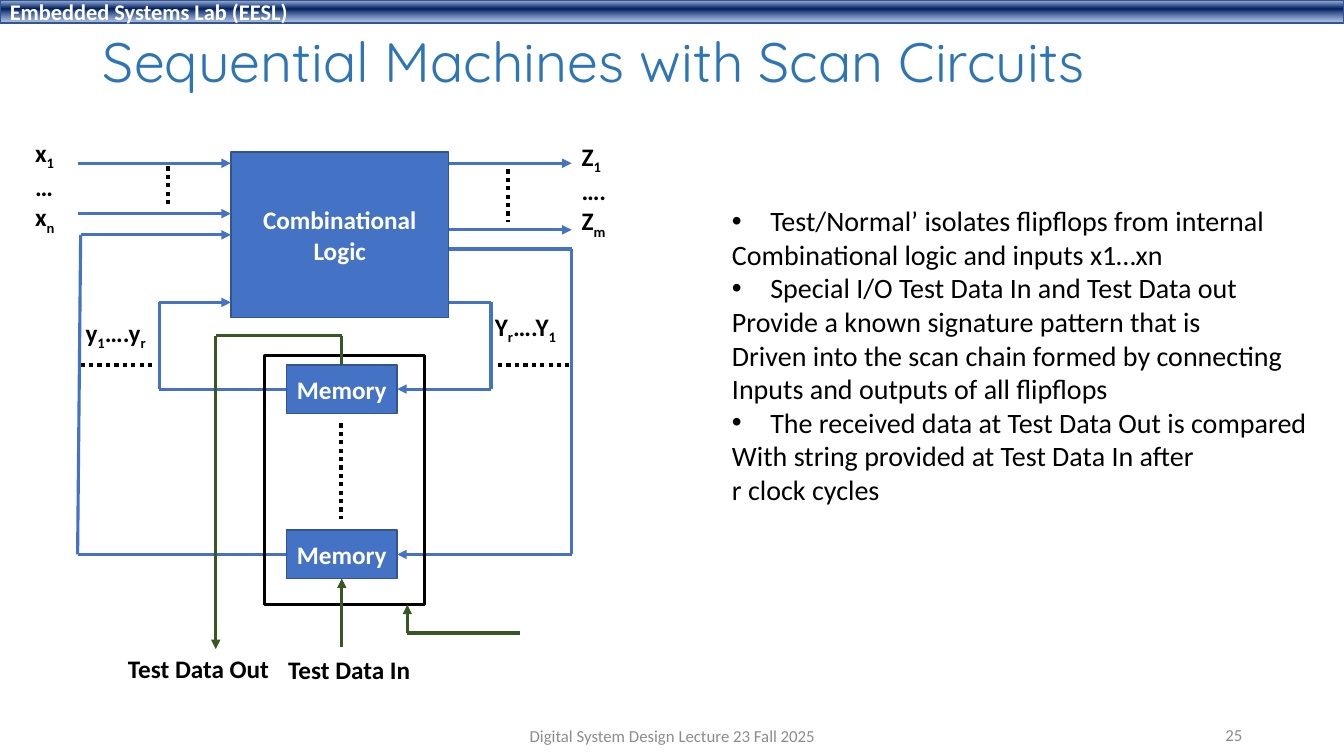
from copy import deepcopy
from dataclasses import dataclass
from itertools import pairwise

from lxml.etree import SubElement
from pptx import Presentation
from pptx.dml.color import RGBColor
from pptx.enum.dml import MSO_LINE_DASH_STYLE as Dash
from pptx.enum.shapes import MSO_CONNECTOR as Connector, MSO_SHAPE as Shape
from pptx.enum.text import MSO_ANCHOR as Anchor, MSO_AUTO_SIZE as AutoSize, PP_ALIGN as Align
from pptx.oxml.ns import qn
from pptx.util import Inches, Pt


@dataclass(frozen=True)
class Theme:
    font: str = "Calibri"
    title_font: str = "Quicksand"
    title_color: str = "2E75B6"
    blue: str = "4472C4"
    edge: str = "325491"
    green: str = "385723"
    black: str = "000000"
    white: str = "FFFFFF"
    gray: str = "8C8C8C"
    # position, colour, opacity
    bar_stops: tuple = ((0.02, "ABC0E4", 1), (0.38, "002060", 1), (0.93, "7E9ED6", 0.64))
    title_size: float = 39.6
    body_size: int = 20
    bar_size: int = 16
    label_size: int = 18
    footer_size: int = 12
    wire_width: float = 2.25
    dots_width: int = 3


class SlideBuilder:
    def __init__(self, page, theme):
        self.page = page
        self.theme = theme

    def style(self, para, size, color, bold=False, font=None):
        para.font.name = font or self.theme.font
        para.font.size = Pt(size)
        para.font.bold = bold
        para.font.color.rgb = RGBColor.from_string(color)

    def place(self, shape, left, top, width, height):
        shape.left, shape.top = Inches(left), Inches(top)
        shape.width, shape.height = Inches(width), Inches(height)

    def add_lines(self, frame, lines, size, color, bold=False, align=Align.LEFT):
        """Fill a frame with lines; pieces between underscores alternate to subscript."""
        for number, line in enumerate(lines):
            para = frame.add_paragraph() if number else frame.paragraphs[0]
            para.alignment = align
            for index, piece in enumerate(line.split("_")):
                if piece:
                    span = para.add_run()
                    span.text = piece
                    if index % 2:
                        span._r.get_or_add_rPr().set("baseline", "-25000")
            self.style(para, size, color, bold)

    def title(self, text, *area):
        title = self.page.shapes.title
        self.place(title, *area)
        frame = title.text_frame
        frame.text = text
        frame.auto_size = AutoSize.NONE
        frame.vertical_anchor = Anchor.MIDDLE
        para = frame.paragraphs[0]
        para.alignment = Align.LEFT
        para.line_spacing = 0.9
        self.style(para, self.theme.title_size, self.theme.title_color,
                   font=self.theme.title_font)

    def body(self, points, *area):
        """Each point is a bulleted line followed by its unindented lines."""
        body = self.page.placeholders[1]
        self.place(body, *area)
        frame = body.text_frame
        frame.text = "\n".join(line for point in points for line in point)
        frame.word_wrap = False
        frame.auto_size = AutoSize.NONE
        frame.vertical_anchor = Anchor.TOP
        bulleted = [index == 0 for point in points for index in range(len(point))]
        for para, has_bullet in zip(frame.paragraphs, bulleted):
            indent = Inches(0.38) if has_bullet else 0
            props = para._p.get_or_add_pPr()
            props.set("marL", str(indent))
            props.set("indent", str(-indent))
            para.space_before = Pt(0)
            if has_bullet:
                SubElement(props, qn("a:buFont"), typeface="Arial")
                SubElement(props, qn("a:buChar"), char="•")
            else:
                SubElement(props, qn("a:buNone"))
            self.style(para, self.theme.body_size, self.theme.black)

    def block(self, lines, *area, size=None, align=Align.CENTER):
        block = self.page.shapes.add_shape(Shape.RECTANGLE, *map(Inches, area))
        block.shadow.inherit = False
        block.fill.solid()
        block.fill.fore_color.rgb = RGBColor.from_string(self.theme.blue)
        block.line.color.rgb = RGBColor.from_string(self.theme.edge)
        block.line.width = Pt(1)
        block.text_frame.vertical_anchor = Anchor.MIDDLE
        self.add_lines(block.text_frame, lines, size or self.theme.label_size,
                       self.theme.white, bold=True, align=align)
        return block

    def header(self, text, *area):
        bar = self.block([text], *area, size=self.theme.bar_size, align=Align.LEFT)
        bar.fill.gradient()
        bar.fill.gradient_angle = 270
        stop_list = bar._element.spPr.find(".//" + qn("a:gsLst"))
        stop_list.append(deepcopy(stop_list[0]))
        for stop, (position, color, opacity) in zip(bar.fill.gradient_stops, self.theme.bar_stops):
            stop.position = position
            stop.color.rgb = RGBColor.from_string(color)
            if opacity < 1:
                SubElement(stop._gs[0], qn("a:alpha"), val=str(int(opacity * 100000)))

    def frame(self, *area):
        frame = self.page.shapes.add_shape(Shape.RECTANGLE, *map(Inches, area))
        frame.shadow.inherit = False
        frame.fill.background()
        frame.line.color.rgb = RGBColor.from_string(self.theme.black)
        frame.line.width = Pt(self.theme.wire_width)

    def label(self, lines, *area):
        box = self.page.shapes.add_textbox(*map(Inches, area))
        box.text_frame.word_wrap = False
        self.add_lines(box.text_frame, lines, self.theme.label_size, self.theme.black, bold=True)

    def footer(self, text, align, *area):
        box = self.page.shapes.add_textbox(*map(Inches, area))
        box.text_frame.word_wrap = True
        box.text_frame.vertical_anchor = Anchor.MIDDLE
        self.add_lines(box.text_frame, [text], self.theme.footer_size, self.theme.gray,
                       align=align)

    def segment(self, start, end, color, width):
        line = self.page.shapes.add_connector(Connector.STRAIGHT, *map(Inches, start + end))
        line.line.color.rgb = RGBColor.from_string(color)
        line.line.width = Pt(width)
        SubElement(line._element.spPr, qn("a:effectLst"))
        return line

    def wire(self, *points, color=None, arrow=True, begin=None, end=None):
        """Run straight segments through the points; begin and end are (block, side)."""
        lines = [self.segment(*pair, color or self.theme.blue, self.theme.wire_width)
                 for pair in pairwise(points)]
        if begin:
            lines[0].begin_connect(*begin)
        if end:
            lines[-1].end_connect(*end)
        if arrow:
            SubElement(lines[-1].line._get_or_add_ln(), qn("a:tailEnd"), type="triangle")

    def dots(self, start, end):
        line = self.segment(start, end, self.theme.black, self.theme.dots_width)
        line.line.dash_style = Dash.ROUND_DOT


def main():
    deck = Presentation()
    deck.slide_width, deck.slide_height = Inches(13.33), Inches(7.5)
    theme = Theme()
    slide = SlideBuilder(deck.slides.add_slide(deck.slide_layouts[1]), theme)

    slide.header("Embedded Systems Lab (EESL)", 0, 0, 13.33, 0.23)
    slide.title("Sequential Machines with Scan Circuits", 0.92, 0.18, 11.5, 0.92)
    slide.body([
        ["Test/Normal’ isolates flipflops from internal", "Combinational logic and inputs x1…xn"],
        ["Special I/O Test Data In and Test Data out", "Provide a known signature pattern that is",
         "Driven into the scan chain formed by connecting", "Inputs and outputs of all flipflops"],
        ["The received data at Test Data Out is compared",
         "With string provided at Test Data In after", "r clock cycles"],
    ], 7.16, 1.97, 6.02, 3.13)

    slide.block(["Combinational", "Logic"], 2.29, 1.51, 2.16, 1.64)
    first, last = [slide.block(["Memory"], 2.84, top, 1.1, 0.48) for top in (3.62, 5.26)]

    for y in (1.62, 2.28):
        slide.wire((4.45, y), (5.67, y))
    for y in (1.62, 2.12):
        slide.wire((0.77, y), (2.29, y))
    slide.wire((4.45, 3), (4.87, 3), (4.87, 3.86), (3.94, 3.86), end=(first, 3))
    slide.wire((4.45, 2.47), (5.67, 2.47), (5.67, 5.5), (3.94, 5.5), end=(last, 3))
    slide.wire((2.84, 3.86), (1.58, 3.86), (1.58, 3), (2.29, 3), begin=(first, 1))
    slide.wire((2.84, 5.5), (0.77, 5.5), (0.8, 2.33), (2.29, 2.33), begin=(last, 1))

    for start, end in [((3.38, 4.2), (3.38, 5.15)), ((5.04, 1.68), (5.04, 2.2)),
                       ((1.67, 1.65), (1.67, 2.05)), ((4.94, 3.62), (5.64, 3.62)),
                       ((0.8, 3.62), (1.52, 3.62))]:
        slide.dots(start, end)

    slide.frame(2.62, 3.53, 1.59, 2.47)
    slide.wire((5.16, 6.28), (4.04, 6.28), (4.04, 6), color=theme.green)
    slide.wire((3.39, 6.42), (3.39, 5.74), color=theme.green, end=(last, 2))
    slide.wire((3.39, 3.62), (3.39, 3.33), (2.14, 3.33), (2.14, 6.44),
               color=theme.green, begin=(first, 0))

    slide.label(["Z_1", "….", "Z_m"], 5.67, 1.35, 0.46, 1.01)
    slide.label(["Y_r_….Y_1"], 4.81, 3.04, 0.82, 0.4)
    slide.label(["x_1", "…", "x_n"], 0.25, 1.31, 0.41, 1.01)
    slide.label(["y_1_….y_r"], 0.75, 3.1, 0.83, 0.4)
    slide.label(["Test Data In"], 2.76, 6.44, 1.42, 0.4)
    slide.label(["Test Data Out"], 1.17, 6.43, 1.62, 0.4)
    slide.footer("Digital System Design Lecture 23 Fall 2025", Align.CENTER, 4.42, 7.1, 4.5, 0.4)
    slide.footer("25", Align.RIGHT, 9.42, 7.09, 3, 0.4)

    deck.save("out.pptx")


if __name__ == "__main__":
    main()
